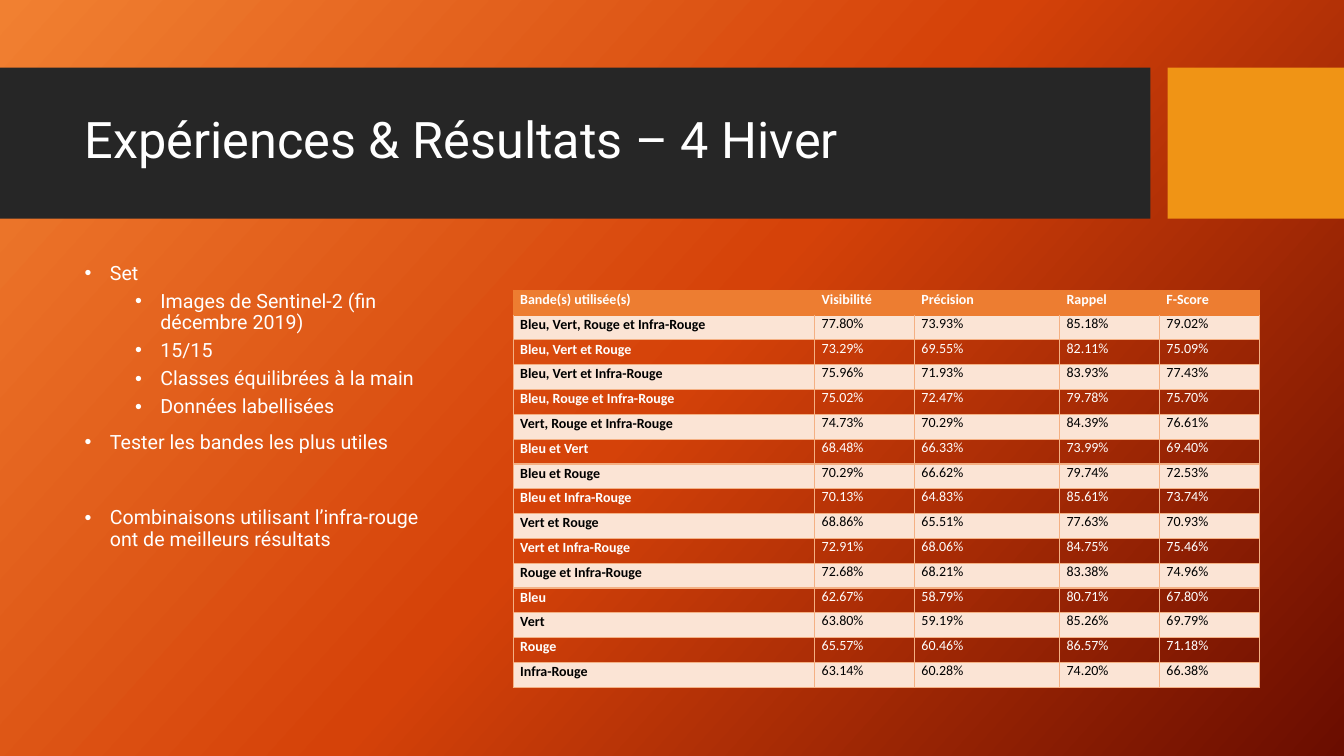
from copy import deepcopy
from dataclasses import dataclass

from lxml import etree
from pptx import Presentation
from pptx.dml.color import RGBColor
from pptx.enum.shapes import MSO_SHAPE
from pptx.enum.text import MSO_ANCHOR, MSO_AUTO_SIZE, PP_ALIGN
from pptx.oxml.ns import qn
from pptx.util import Inches, Pt

RECTANGLE = MSO_SHAPE.RECTANGLE
LEFT, JUSTIFY = PP_ALIGN.LEFT, PP_ALIGN.JUSTIFY
TOP, MIDDLE = MSO_ANCHOR.TOP, MSO_ANCHOR.MIDDLE
NO_AUTOFIT = MSO_AUTO_SIZE.NONE

TITLE = "Expériences & Résultats – 4 Hiver"
# text, level, space before in points
BULLETS = [
    ("Set", 0, 0),
    ("Images de Sentinel-2 (fin décembre 2019)", 1, 5),
    ("15/15", 1, 5),
    ("Classes équilibrées à la main", 1, 5),
    ("Données labellisées", 1, 5),
    ("Tester les bandes les plus utiles", 0, 10),
    ("Combinaisons utilisant l’infra-rouge ont de meilleurs résultats", 0, 39),
]
HEADER = ("Bande(s) utilisée(s)", "Visibilité", "Précision", "Rappel", "F-Score")
RESULTS = [
    ("Bleu, Vert, Rouge et Infra-Rouge", "77.80%", "73.93%", "85.18%", "79.02%"),
    ("Bleu, Vert et Rouge", "73.29%", "69.55%", "82.11%", "75.09%"),
    ("Bleu, Vert et Infra-Rouge", "75.96%", "71.93%", "83.93%", "77.43%"),
    ("Bleu, Rouge et Infra-Rouge", "75.02%", "72.47%", "79.78%", "75.70%"),
    ("Vert, Rouge et Infra-Rouge", "74.73%", "70.29%", "84.39%", "76.61%"),
    ("Bleu et Vert", "68.48%", "66.33%", "73.99%", "69.40%"),
    ("Bleu et Rouge", "70.29%", "66.62%", "79.74%", "72.53%"),
    ("Bleu et Infra-Rouge", "70.13%", "64.83%", "85.61%", "73.74%"),
    ("Vert et Rouge", "68.86%", "65.51%", "77.63%", "70.93%"),
    ("Vert et Infra-Rouge", "72.91%", "68.06%", "84.75%", "75.46%"),
    ("Rouge et Infra-Rouge", "72.68%", "68.21%", "83.38%", "74.96%"),
    ("Bleu", "62.67%", "58.79%", "80.71%", "67.80%"),
    ("Vert", "63.80%", "59.19%", "85.26%", "69.79%"),
    ("Rouge", "65.57%", "60.46%", "86.57%", "71.18%"),
    ("Infra-Rouge", "63.14%", "60.28%", "74.20%", "66.38%"),
]
COLUMN_WIDTHS = (2.99, 0.99, 1.44, 0.99, 0.99)
TABLE_BOX = (5.09, 2.88, 7.41, 3.94)


@dataclass(frozen=True)
class Theme:
    gradient: tuple = ((0, "F18031"), (0.5, "D54209"), (1, "6A0D00"))
    gradient_angle: int = 42
    banner: str = "262626"
    accent: str = "F09415"
    light: str = "FFFFFF"
    dark: str = "000000"
    header: str = "ED7D31"
    band: str = "FBE4D5"
    border: str = "F4B083"
    text_font: str = "Roboto"
    table_font: str = "Calibri"
    title_size: int = 36
    body_size: int = 14
    table_size: int = 10


THEME = Theme()


def apply(target, values):
    for name, value in values.items():
        setattr(target, name, value)


def format_font(font, name, size, color, bold=False):
    apply(font, {"name": name, "size": Pt(size), "bold": bold})
    font.color.rgb = RGBColor.from_string(color)


def place(shape, box):
    apply(shape, dict(zip(("left", "top", "width", "height"), map(Inches, box))))


def paint_background(slide):
    fill = slide.background.fill
    fill.gradient()
    fill.gradient_angle = 360 - THEME.gradient_angle
    stop_list = slide.element.find(".//" + qn("a:gsLst"))
    stop_list.append(deepcopy(stop_list[0]))
    for stop, (position, color) in zip(fill.gradient_stops, THEME.gradient):
        stop.position = position
        stop.color.rgb = RGBColor.from_string(color)


def add_block(slide, box, color, order):
    """Add a plain rectangle behind the placeholders."""
    shape = slide.shapes.add_shape(RECTANGLE, *map(Inches, box))
    shape.shadow.inherit = False
    shape.fill.solid()
    shape.fill.fore_color.rgb = RGBColor.from_string(color)
    shape.line.fill.background()
    slide.shapes.element.insert(2 + order, shape.element)


def write_title(title):
    place(title, (0.74, 0.82, 10.51, 1.18))
    title.text = TITLE
    apply(title.text_frame, {"vertical_anchor": MIDDLE, "auto_size": NO_AUTOFIT})
    paragraph = title.text_frame.paragraphs[0]
    apply(paragraph, {"alignment": LEFT, "line_spacing": 0.9})
    format_font(paragraph.font, THEME.text_font, THEME.title_size, THEME.light)


def write_bullets(body):
    place(body, (0.74, 2.56, 3.82, 3.94))
    frame = body.text_frame
    frame.text = "\n".join(text for text, _, _ in BULLETS)
    apply(frame, {"vertical_anchor": TOP, "auto_size": NO_AUTOFIT})
    for paragraph, (_, level, space) in zip(frame.paragraphs, BULLETS):
        apply(paragraph, {"level": level, "line_spacing": 0.9,
                          "space_before": Pt(space), "space_after": Pt(0)})
        properties = paragraph._p.get_or_add_pPr()
        properties.set("marL", str(Inches(0.25 + 0.5 * level)))
        properties.set("indent", str(Inches(-0.25)))
        etree.SubElement(properties, qn("a:buFont"), typeface="Arial")
        etree.SubElement(properties, qn("a:buChar"), char="•")
        format_font(paragraph.font, THEME.text_font, THEME.body_size, THEME.light)


def set_borders(cell, top_color, color):
    properties = cell._tc.get_or_add_tcPr()
    for order, side in enumerate(("lnL", "lnR", "lnT", "lnB")):
        line = etree.Element(qn("a:" + side), w=str(Pt(1)))
        fill = etree.SubElement(line, qn("a:solidFill"))
        etree.SubElement(fill, qn("a:srgbClr"), val=top_color if side == "lnT" else color)
        properties.insert(order, line)


def format_cell(cell, text, row, column):
    is_header, is_banded = row == 0, row % 2 == 1
    cell.text = text
    apply(cell, {"margin_left": Inches(0.07), "margin_right": Inches(0.07),
                 "margin_top": Inches(0.01 if is_header or column == 0 else 0),
                 "margin_bottom": 0, "vertical_anchor": TOP})
    paragraph = cell.text_frame.paragraphs[0]
    apply(paragraph, {"alignment": JUSTIFY, "space_after": Pt(6)})
    format_font(paragraph.font, THEME.table_font, THEME.table_size,
                THEME.dark if is_banded else THEME.light, is_header or column == 0)
    if is_header or is_banded:
        cell.fill.solid()
        cell.fill.fore_color.rgb = RGBColor.from_string(
            THEME.header if is_header else THEME.band)
    else:
        cell.fill.background()
    set_borders(cell, THEME.header if row < 2 else THEME.border,
                THEME.header if is_header else THEME.border)


def add_results(slide):
    rows = [HEADER, *RESULTS]
    table = slide.shapes.add_table(
        len(rows), len(HEADER), *map(Inches, TABLE_BOX)).table
    table.horz_banding = False
    for column, width in zip(table.columns, COLUMN_WIDTHS):
        column.width = Inches(width)
    for row, texts in enumerate(rows):
        for column, text in enumerate(texts):
            format_cell(table.cell(row, column), text, row, column)


def main():
    presentation = Presentation()
    apply(presentation, {"slide_width": Inches(13.33), "slide_height": Inches(7.5)})
    slide = presentation.slides.add_slide(presentation.slide_layouts[1])
    paint_background(slide)
    add_block(slide, (0, 0.67, 11.41, 1.5), THEME.banner, 0)
    add_block(slide, (11.58, 0.67, 1.75, 1.5), THEME.accent, 1)
    write_title(slide.shapes.title)
    write_bullets(slide.placeholders[1])
    add_results(slide)
    presentation.save("out.pptx")


if __name__ == "__main__":
    main()
